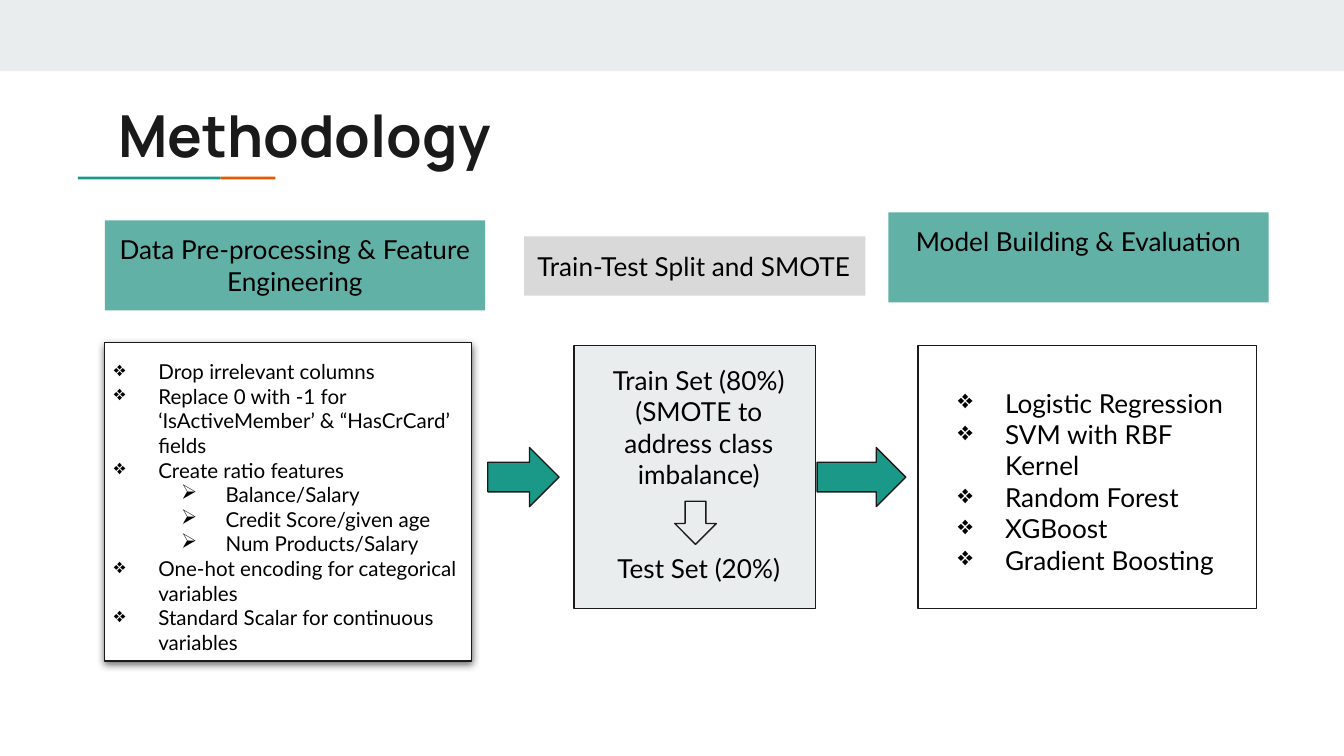
from lxml import etree
from pptx import Presentation
from pptx.dml.color import RGBColor
from pptx.enum.shapes import MSO_SHAPE
from pptx.enum.text import MSO_ANCHOR, PP_ALIGN
from pptx.oxml.ns import qn
from pptx.util import Inches, Pt

RECT = MSO_SHAPE.RECTANGLE
RIGHT_ARROW = MSO_SHAPE.RIGHT_ARROW
DOWN_ARROW = MSO_SHAPE.DOWN_ARROW
LEFT, CENTER = PP_ALIGN.LEFT, PP_ALIGN.CENTER
TOP = MSO_ANCHOR.TOP

BLACK = RGBColor(0x00, 0x00, 0x00)
INK = RGBColor(0x1A, 0x1A, 0x1A)
WHITE = RGBColor(0xFF, 0xFF, 0xFF)
MIST = RGBColor(0xE9, 0xED, 0xEE)
GREY = RGBColor(0xD9, 0xD9, 0xD9)
TEAL = RGBColor(0x1A, 0x99, 0x88)
DEEP_TEAL = RGBColor(0x17, 0x8D, 0x7D)
ORANGE = RGBColor(0xEB, 0x56, 0x00)

BULLETS = ("❖", "➢")  # one per list level


def add_xml(parent, tag, **attributes):
    return etree.SubElement(parent, qn(tag), attributes)


class Slide:
    """Style and current page; lengths are cells of a 100 x 56.25 grid."""

    font, title_font = "Lato", "Manrope"
    body_size, list_size, title_size = 14, 11, 31

    def __init__(self, deck):
        self.page = deck.slides.add_slide(deck.slide_layouts[6])
        self.column = deck.slide_width / 100
        self.row = deck.slide_height / 56.25

    def place(self, left, top, width, height):
        return (round(left * self.column), round(top * self.row),
                round(width * self.column), round(height * self.row))

    def block(self, cells, fill, kind=RECT, outlined=False, opacity=None, shadow=False):
        shape = self.page.shapes.add_shape(kind, *self.place(*cells))
        shape.shadow.inherit = False
        shape.fill.solid()
        shape.fill.fore_color.rgb = fill
        if outlined:
            shape.line.color.rgb = INK
            shape.line.width = Pt(0.75)
        else:
            shape.line.fill.background()
        properties = shape._element.spPr
        if opacity:
            color = properties.find(qn("a:solidFill")).find(qn("a:srgbClr"))
            add_xml(color, "a:alpha", val=str(opacity * 1000))
        if shadow:
            effect = add_xml(properties.find(qn("a:effectLst")), "a:outerShdw",
                             blurRad=str(Pt(4.5)), dist=str(Pt(1.5)),
                             dir="5400000", algn="bl", rotWithShape="0")
            color = add_xml(effect, "a:srgbClr", val=str(BLACK))
            add_xml(color, "a:alpha", val="60000")
        return shape

    def add_span(self, para, text, size, color=BLACK, font=None, bold=False):
        span = para.add_run()
        span.text = text
        span.font.name = font or self.font
        span.font.size = Pt(size)
        span.font.bold = bold
        span.font.color.rgb = color

    def paragraphs(self, box, count, align=LEFT):
        frame = box.text_frame
        frame.word_wrap = True
        frame.vertical_anchor = TOP
        frame.margin_left = frame.margin_right = Inches(0.1)
        frame.margin_top = frame.margin_bottom = Inches(0.1)
        for _ in range(count - 1):
            frame.add_paragraph()
        for para in frame.paragraphs:
            para.alignment = align
        return frame.paragraphs

    def text_box(self, cells):
        return self.page.shapes.add_textbox(*self.place(*cells))

    def title(self, cells, text):
        para, = self.paragraphs(self.text_box(cells), 1)
        self.add_span(para, text, self.title_size, INK, self.title_font, True)

    def header(self, cells, text, fill, align=CENTER, opacity=None):
        box = self.block(cells, fill, opacity=opacity)
        para, = self.paragraphs(box, 1, align)
        self.add_span(para, text, self.body_size)

    def centered(self, cells, lines):
        """Each line is a pair: text and space before in points."""
        box = self.text_box(cells)
        for para, (text, gap) in zip(self.paragraphs(box, len(lines), CENTER), lines):
            para.space_before = Pt(gap)
            self.add_span(para, text, self.body_size)

    def bullet_list(self, cells, items, size, hang):
        """Each item is a pair: level and text."""
        box = self.text_box(cells)
        for para, (level, text) in zip(self.paragraphs(box, len(items)), items):
            para.level = level
            settings = para._p.get_or_add_pPr()
            settings.set("marL", str(Inches(0.5 * (level + 1))))
            settings.set("indent", str(-Inches(hang)))
            add_xml(add_xml(settings, "a:buClr"), "a:srgbClr", val=str(BLACK))
            add_xml(settings, "a:buChar", char=BULLETS[level])
            self.add_span(para, text, size)

    def arrow(self, cells, kind=RIGHT_ARROW, fill=TEAL):
        self.block(cells, fill, kind, outlined=True)


def main():
    deck = Presentation()
    deck.slide_width, deck.slide_height = Inches(10), Inches(5.625)
    slide = Slide(deck)

    # Top band, title and two-colour rule
    slide.block((0, 0, 100, 5.3), MIST)
    slide.block((16.4, 13.15, 4.1, 0.2), ORANGE)
    slide.block((5.8, 13.15, 10.6, 0.2), TEAL)
    slide.title((7.8, 6.4, 84.1, 5.9), "Methodology")

    # Stage headers
    slide.header((7.8, 16.4, 28.3, 6.7), "Data Pre-processing & Feature Engineering",
                 DEEP_TEAL, opacity=68)
    slide.header((39, 17.6, 25.4, 4.4), "Train-Test Split and SMOTE", GREY, LEFT)
    slide.header((66.1, 15.8, 28.3, 6.7), "Model Building & Evaluation",
                 DEEP_TEAL, opacity=68)

    # Train and test sets
    slide.block((42.7, 25.7, 18, 19.6), MIST, outlined=True)
    slide.centered((43.2, 26.1, 17.6, 25.6), [
        ("Train Set (80%)", 0),
        ("(SMOTE to address class imbalance)", 0),
        ("Test Set (20%)", 33.6),
    ])
    slide.arrow((50.2, 37.3, 3.1, 3.2), DOWN_ARROW, MIST)

    # Models
    slide.block((68.3, 25.7, 25.2, 19.6), WHITE, outlined=True)
    models = ["Logistic Regression", "SVM with RBF Kernel", "Random Forest",
              "XGBoost", "Gradient Boosting"]
    slide.bullet_list((68.8, 27.8, 24.3, 16.2), [(0, name) for name in models],
                      slide.body_size, 0.35)

    # Pre-processing steps
    slide.block((7.8, 25.5, 27.3, 23.7), WHITE, outlined=True, shadow=True)
    slide.bullet_list((5.8, 25.7, 29.3, 24.2), [
        (0, "Drop irrelevant columns"),
        (0, "Replace 0 with -1 for ‘IsActiveMember’ & “HasCrCard’ fields"),
        (0, "Create ratio features"),
        (1, "Balance/Salary"),
        (1, "Credit Score/given age"),
        (1, "Num Products/Salary"),
        (0, "One-hot encoding for categorical variables"),
        (0, "Standard Scalar for continuous variables"),
    ], slide.list_size, 0.33)

    # Arrows between stages
    for left, width in ((36.3, 5.3), (60.8, 6.6)):
        slide.arrow((left, 33.3, width, 4.4))

    deck.save("out.pptx")


if __name__ == "__main__":
    main()
